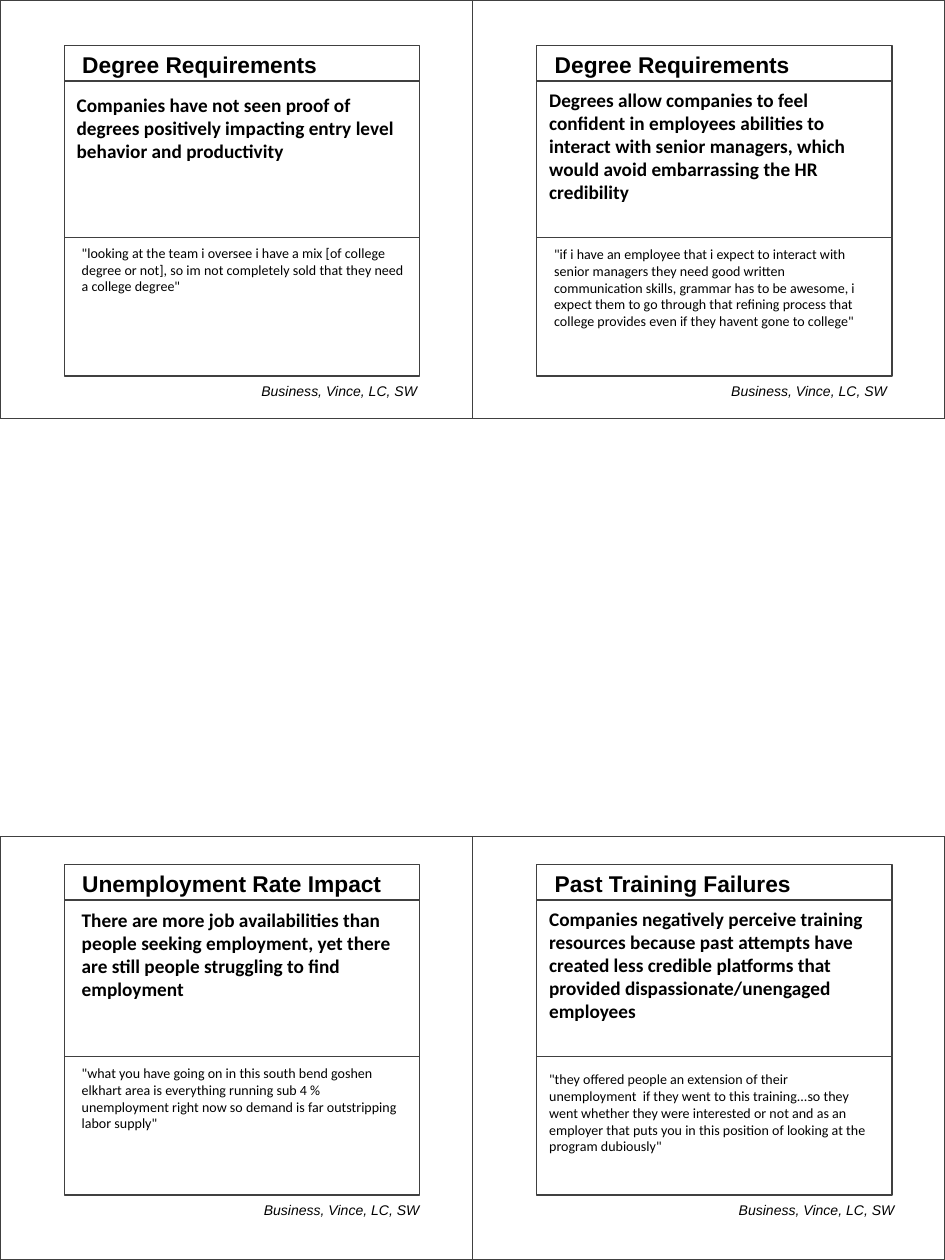
from pptx import Presentation
from pptx.dml.color import RGBColor
from pptx.enum.shapes import MSO_SHAPE
from pptx.enum.text import MSO_AUTO_SIZE, PP_ALIGN
from pptx.util import Pt

RECT = MSO_SHAPE.RECTANGLE
GROW = MSO_AUTO_SIZE.SHAPE_TO_FIT_TEXT
LEFT, RIGHT = PP_ALIGN.LEFT, PP_ALIGN.RIGHT
COLORS = {"line": "404040", "text": "000000"}

prs = Presentation()
prs.slide_width, prs.slide_height = Pt(540), Pt(720)
s = prs.slides.add_slide(prs.slide_layouts[6])


def add_box(shapes, x, y, w, h):
    sp = shapes.add_shape(RECT, Pt(x), Pt(y), Pt(w), Pt(h))
    sp.shadow.inherit = False
    sp.fill.background()
    sp.line.color.rgb = RGBColor.from_string(COLORS["line"])
    sp.line.width = Pt(0.75)


def add_text(shapes, text, box, size, font="Calibri", bold=False, italic=False,
             align=LEFT, wrap=True):
    sp = shapes.add_textbox(*[Pt(v) for v in box])
    tf = sp.text_frame
    tf.word_wrap = wrap
    tf.auto_size = GROW
    p = tf.paragraphs[0]
    p.alignment = align
    r = p.add_run()
    r.text = text
    r.font.size = Pt(size)
    r.font.name = font
    r.font.bold = bold
    r.font.italic = italic
    r.font.color.rgb = RGBColor.from_string(COLORS["text"])


CARD_W, FRAME_X, FRAME_W = 270, 36.7, 203
ROWS = [(0, 20.5), (20.3, 89.5), (109.8, 79.2)]
BANDS = [(0, 239, 25.9), (478, 242, 493.9)]

cards = [
    {"col": 0, "band": 0, "title": "Degree Requirements", "title_w": 150.5,
     "insight": "Companies have not seen proof of degrees positively impacting "
                "entry level behavior and productivity",
     "insight_box": (36.7, 49.7, 203, 47.5),
     "quote": '"looking at the team i oversee i have a mix [of college degree or not], '
              'so im not completely sold that they need a college degree"',
     "quote_box": (39.6, 136.1, 200.2, 36), "source_x": 23.8},
    {"col": 1, "band": 0, "title": "Degree Requirements", "title_w": 150.5,
     "insight": "Degrees allow companies to feel confident in employees abilities to "
                "interact with senior managers, which would avoid embarrassing the HR "
                "credibility",
     "insight_box": (306.7, 46.8, 203, 74.2),
     "quote": '"if i have an employee that i expect to interact with senior managers '
              'they need good written communication skills, grammar has to be awesome, '
              'i expect them to go through that refining process that college provides '
              'even if they havent gone to college"',
     "quote_box": (309.6, 136.8, 194.4, 55.4), "source_x": 292.3},
    {"col": 0, "band": 1, "title": "Unemployment Rate Impact", "title_w": 187.2,
     "insight": "There are more job availabilities than people seeking employment, yet "
                "there are still people struggling to find employment",
     "insight_box": (39.6, 515.5, 200.2, 60.5),
     "quote": '"what you have going on in this south bend goshen elkhart area is '
              'everything running sub 4 % unemployment right now so demand is far '
              'outstripping labor supply"',
     "quote_box": (39.6, 604.8, 200.2, 46), "source_x": 25.2},
    {"col": 1, "band": 1, "title": "Past Training Failures", "title_w": 151.2,
     "insight": "Companies negatively perceive training resources because past attempts "
                "have created less credible platforms that provided "
                "dispassionate/unengaged employees",
     "insight_box": (306.7, 514.8, 208.8, 74.2),
     "quote": '"they offered people an extension of their unemployment  if they went to '
              'this training...so they went whether they were interested or not and as '
              'an employer that puts you in this position of looking at the program '
              'dubiously"',
     "quote_box": (306.7, 608.4, 200.2, 55.4), "source_x": 296.6},
]

for card in cards:
    x = card["col"] * CARD_W
    card_y, card_h, frame_y = BANDS[card["band"]]
    shapes = s.shapes.add_group_shape().shapes
    add_box(shapes, x, card_y, CARD_W, card_h)
    for dy, h in ROWS:
        add_box(shapes, x + FRAME_X, frame_y + dy, FRAME_W, h)
    add_text(shapes, card["title"], (x + 39.9, frame_y - 0.7, card["title_w"], 23),
             13, font="Arial", bold=True, wrap=False)
    add_text(shapes, card["insight"], card["insight_box"], 11, bold=True)
    add_text(shapes, card["quote"], card["quote_box"], 8)
    add_text(shapes, "Business, Vince, LC, SW",
             (card["source_x"], frame_y + 189, 221.8, 17),
             8, font="Arial", italic=True, align=RIGHT)

prs.save("out.pptx")
